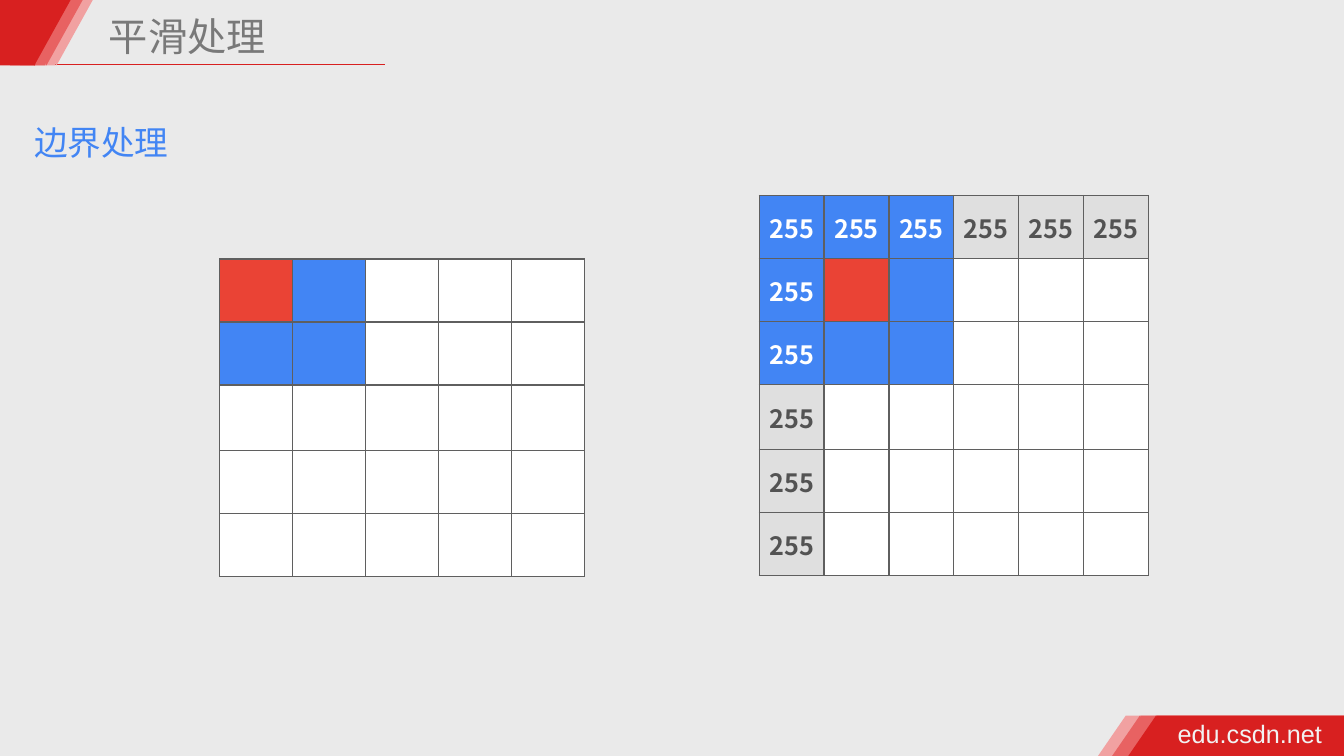
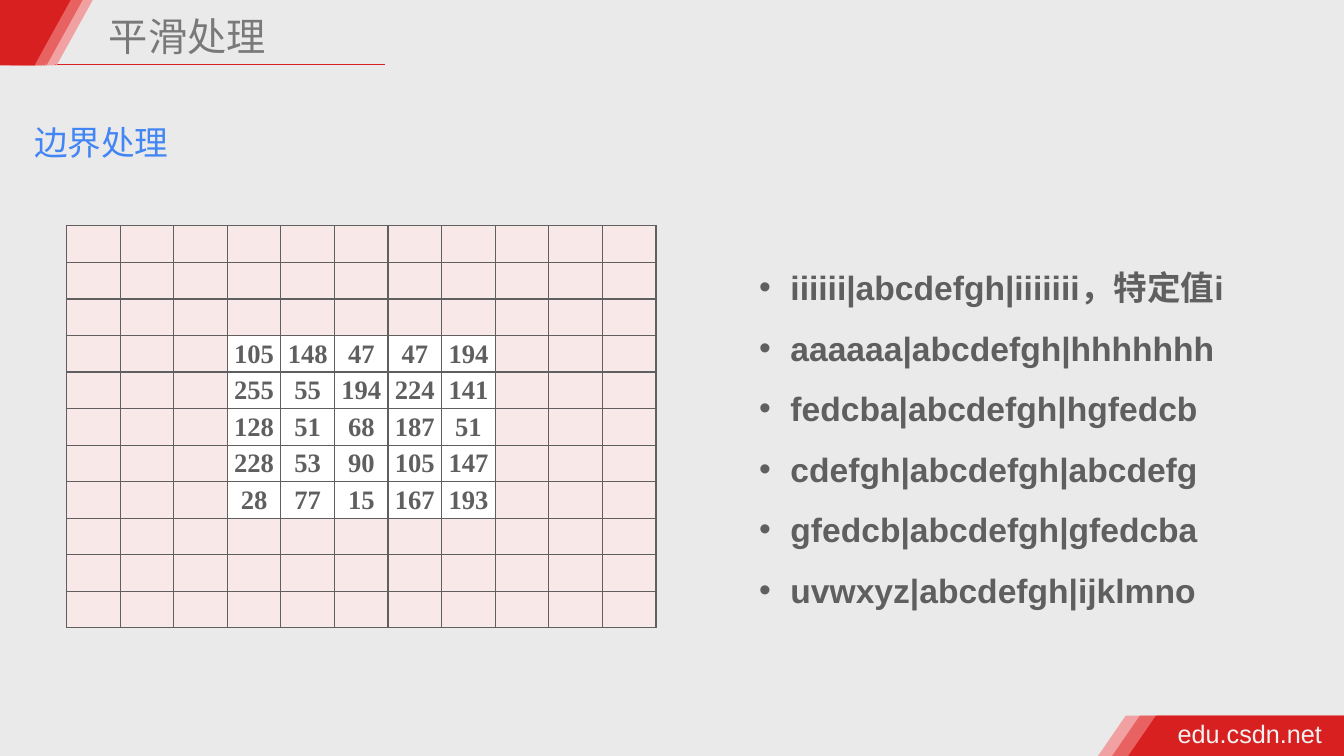
from lxml import etree
from pptx import Presentation
from pptx.dml.color import RGBColor
from pptx.enum.shapes import MSO_CONNECTOR, MSO_SHAPE
from pptx.enum.text import MSO_ANCHOR, MSO_AUTO_SIZE, PP_ALIGN
from pptx.oxml.ns import qn
from pptx.util import Inches, Pt

RECT, TRI = MSO_SHAPE.RECTANGLE, MSO_SHAPE.ISOSCELES_TRIANGLE
LEFT, CENTER = PP_ALIGN.LEFT, PP_ALIGN.CENTER
TOP, MIDDLE = MSO_ANCHOR.TOP, MSO_ANCHOR.MIDDLE

COLORS = {
    "back": "EAEAEA", "red": "D82020", "rose": "E86262", "pink": "F1A1A1",
    "title": "797979", "site": "F2F2F2", "grid": "5F5F5F", "dark": "535353",
    "white": "FFFFFF", "core": "EA4335", "blue": "4285F4", "grey": "DFDFDF",
    "pad": "F8E8E7",
}
CJK, SANS, SERIF = "Noto Sans CJK SC", "Arial", "Times New Roman"
STYLES = {
    "title": {"name": CJK, "size": Pt(28), "color": "title"},
    "head": {"name": CJK, "size": Pt(24), "color": "blue"},
    "site": {"name": SANS, "size": Pt(18), "color": "site"},
    "list": {"name": SANS, "size": Pt(24), "color": "grid", "bold": True},
    "edge": {"name": CJK, "size": Pt(18), "color": "dark", "bold": True},
    "near": {"name": CJK, "size": Pt(18), "color": "white", "bold": True},
    "pixel": {"name": SERIF, "size": Pt(19), "color": "grid", "bold": True},
}

TITLE, HEAD, SITE = "平滑处理", "边界处理", "edu.csdn.net"
# Fill of each cell: R core, B neighbour, G border, P padding, W plain
FILLS = {"R": "core", "B": "blue", "G": "grey", "P": "pad", "W": "white"}
IMAGE = ["RBWWW", "BBWWW", "WWWWW", "WWWWW", "WWWWW"]
FRAMED = ["BBBGGG", "BRBWWW", "BBBWWW", "GWWWWW", "GWWWWW", "GWWWWW"]
PIXELS = [
    [105, 148, 47, 47, 194],
    [255, 55, 194, 224, 141],
    [128, 51, 68, 187, 51],
    [228, 53, 90, 105, 147],
    [28, 77, 15, 167, 193],
]
PAD = 3
MODES = [
    "iiiiii|abcdefgh|iiiiiii，特定值i",
    "aaaaaa|abcdefgh|hhhhhhh",
    "fedcba|abcdefgh|hgfedcb",
    "cdefgh|abcdefgh|abcdefg",
    "gfedcb|abcdefgh|gfedcba",
    "uvwxyz|abcdefgh|ijklmno",
]


def rgb(name):
    return RGBColor.from_string(COLORS[name])


def place(shape, box):
    for side, size in zip(("left", "top", "width", "height"), box):
        setattr(shape, side, Inches(size))


def write(para, text, style, spacing=1.0, align=LEFT):
    run = para.add_run()
    run.text = text
    for key, value in STYLES[style].items():
        if key == "color":
            run.font.color.rgb = rgb(value)
        else:
            setattr(run.font, key, value)
    ea = etree.SubElement(run._r.get_or_add_rPr(), qn("a:ea"))
    ea.set("typeface", CJK)
    para.line_spacing, para.alignment = spacing, align
    para.space_before = Pt(0)


def setup(frame, inset=0.1, wrap=True):
    frame.word_wrap, frame.auto_size = wrap, MSO_AUTO_SIZE.NONE
    frame.vertical_anchor = TOP
    frame.margin_left = frame.margin_right = Inches(inset)
    frame.margin_top = frame.margin_bottom = Inches(0.05)


def add_text(slide, box, text, style, spacing=1.0, inset=0.1, wrap=True):
    frame = slide.shapes.add_textbox(*map(Inches, box)).text_frame
    setup(frame, inset, wrap)
    write(frame.paragraphs[0], text, style, spacing)


def add_block(slide, kind, box, color, turn=0):
    shape = slide.shapes.add_shape(kind, *map(Inches, box))
    shape.shadow.inherit = False
    shape.fill.solid()
    shape.fill.fore_color.rgb = rgb(color)
    shape.line.fill.background()
    shape.rotation = turn


def add_brand(slide):
    """Draw the header and footer bands."""
    ends = map(Inches, (0.49, 0.64, 3.82, 0.64))
    rule = slide.shapes.add_connector(MSO_CONNECTOR.STRAIGHT, *ends)
    rule.line.color.rgb, rule.line.width = rgb("red"), Pt(1)
    etree.SubElement(rule._element.spPr, qn("a:effectLst"))
    bands = [("pink", 11.17, 0.2), ("rose", 11.31, 0.1), ("red", 11.47, -0.02)]
    for color, foot, top in bands:
        add_block(slide, RECT, (foot, 7.1, 13.33 - foot, 0.4), color)
        add_block(slide, TRI, (foot - 0.28, 7.1, 0.55, 0.4), color)
        add_block(slide, RECT, (max(top, 0), 0, 0.35, 0.65), color)
        add_block(slide, TRI, (top, 0, 0.72, 0.65), color, 180)
    add_text(slide, (11.63, 7.08, 1.55, 0.4), SITE, "site", 1, 0.05, False)


def share(slide, master):
    """Move the bands from the slide to the master, under everything else."""
    fixed = list(slide.shapes.placeholders)
    keep = [shape.shape_id for shape in fixed]
    tree = master.shapes.element
    for shape in list(slide.shapes):
        if shape.shape_id not in keep:
            tree.append(shape.element)


def add_heads(slide):
    title = slide.shapes.title
    place(title, (1.03, 0.12, 4.36, 0.53))
    setup(title.text_frame, 0.05)
    write(title.text_frame.paragraphs[0], TITLE, "title", 0.9)
    add_text(slide, (0.24, 0.96, 2.75, 0.64), HEAD, "head", 1.5)


def edge_cell(cell):
    props = cell._tc.get_or_add_tcPr()
    for side in ("lnL", "lnR", "lnT", "lnB"):
        line = etree.SubElement(props, qn("a:" + side), w=str(Pt(1)))
        fill = etree.SubElement(line, qn("a:solidFill"))
        etree.SubElement(fill, qn("a:srgbClr"), val=COLORS["grid"])


def add_grid(slide, box, fills, label, tall=None):
    """Draw a table; label(row, col) gives text and style, or None."""
    rows, cols = len(fills), len(fills[0])
    frame = slide.shapes.add_table(rows, cols, *map(Inches, box))
    table = frame.table
    table.first_row = table.horz_banding = False
    for col in table.columns:
        col.width = Inches(box[2] / cols)
    even = box[3] / rows if tall is None else (box[3] - 0.65) / (rows - 1)
    for r, row in enumerate(table.rows):
        row.height = Inches(0.65 if r == tall else even)
        for c, cell in enumerate(row.cells):
            edge_cell(cell)
            cell.fill.solid()
            cell.fill.fore_color.rgb = rgb(FILLS[fills[r][c]])
            cell.vertical_anchor = MIDDLE
            cell.margin_left = cell.margin_right = Inches(0.01)
            cell.margin_top, cell.margin_bottom = Inches(0.01), 0
            found = label(r, c)
            if found:
                write(cell.text_frame.paragraphs[0], *found, align=CENTER)


def add_list(body, items):
    place(body, (7.43, 2.4, 5.25, 3.66))
    frame = body.text_frame
    setup(frame)
    for i, item in enumerate(items):
        para = frame.add_paragraph() if i else frame.paragraphs[0]
        props = para._p.get_or_add_pPr()
        props.set("marL", str(Inches(0.31)))
        props.set("indent", str(-Inches(0.31)))
        etree.SubElement(props, qn("a:buFont"), typeface=SANS)
        etree.SubElement(props, qn("a:buChar"), char="•")
        write(para, item, "list", 1.5)


def frame_label(r, c):
    if r == 0 or c == 0:
        return "255", "near" if FRAMED[r][c] == "B" else "edge"
    return None


def pixel_label(r, c):
    r, c = r - PAD, c - PAD
    if 0 <= r < len(PIXELS) and 0 <= c < len(PIXELS[0]):
        return str(PIXELS[r][c]), "pixel"
    return None


def main():
    prs = Presentation()
    prs.slide_width, prs.slide_height = Inches(13.33), Inches(7.5)
    master = prs.slide_master
    master.background.fill.solid()
    master.background.fill.fore_color.rgb = rgb("back")

    first = prs.slides.add_slide(prs.slide_layouts[5])
    add_brand(first)
    share(first, master)
    add_heads(first)
    add_grid(first, (2.18, 2.57, 3.62, 3.15), IMAGE, lambda r, c: None, 2)
    add_grid(first, (7.53, 1.94, 3.86, 3.77), FRAMED, frame_label, 3)

    second = prs.slides.add_slide(prs.slide_layouts[1])
    add_heads(second)
    add_list(second.placeholders[1], MODES)
    side = len(PIXELS) + 2 * PAD
    fills = [["W" if pixel_label(r, c) else "P" for c in range(side)]
             for r in range(side)]
    add_grid(second, (0.66, 2.24, 5.85, 3.99), fills, pixel_label)

    prs.save("out.pptx")


if __name__ == "__main__":
    main()
